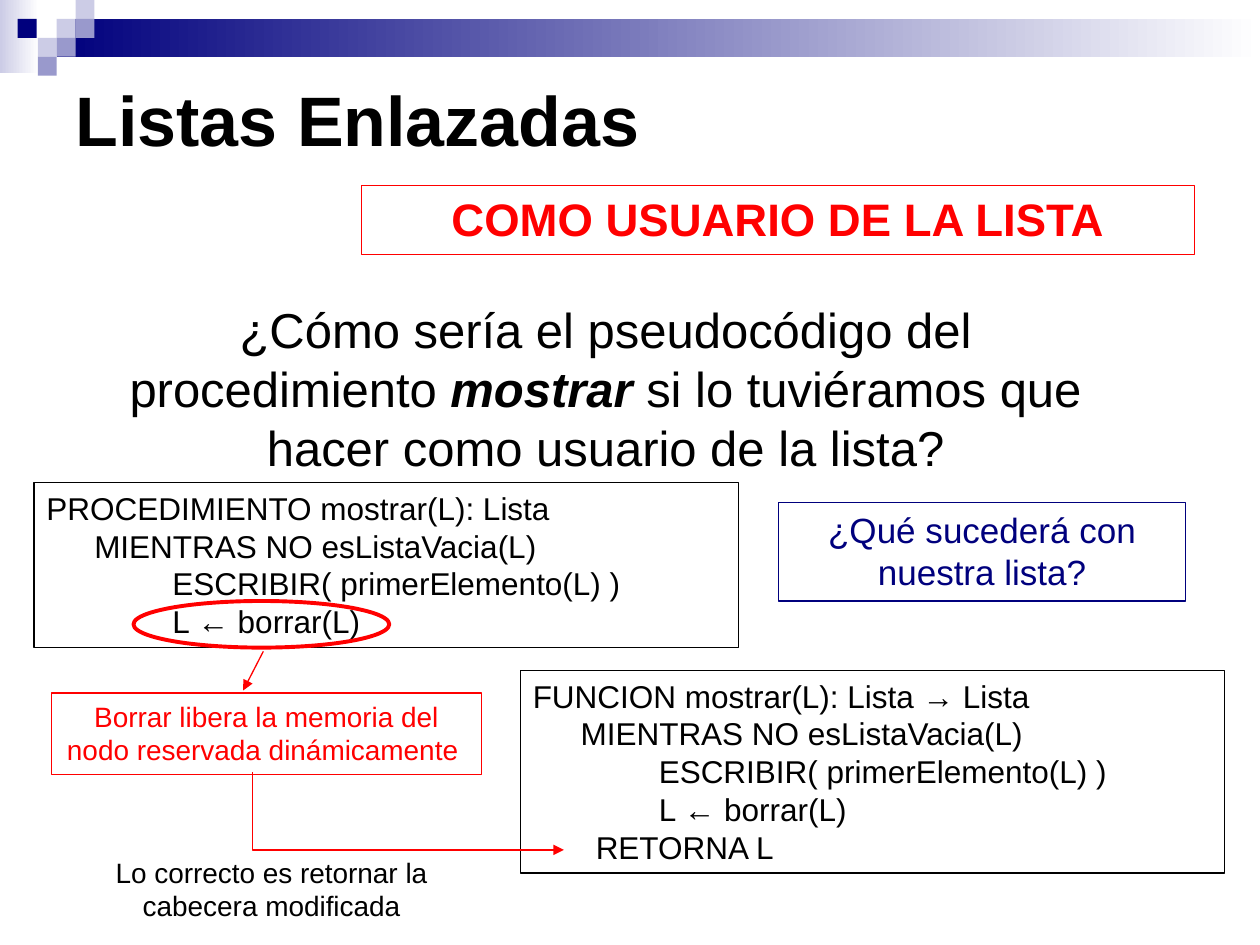
from pptx import Presentation
from pptx.dml.color import RGBColor
from pptx.enum.shapes import MSO_CONNECTOR as Link, MSO_SHAPE as Shape
from pptx.enum.text import MSO_ANCHOR as Anchor, PP_ALIGN as Align
from pptx.oxml.ns import qn
from pptx.util import Inches, Pt
from lxml.etree import SubElement

BLACK, RED, NAVY = "000000", "FF0000", "00007D"
LILAC, VIOLET, WHITE = "CCCCE6", "9999CC", "FFFFFF"
INDENT = 0.38


def colour(value):
    return RGBColor.from_string(value)


def style_font(font, size, hue, **extra):
    values = {"name": "Arial", "size": Pt(size), **extra}
    for name, value in values.items():
        setattr(font, name, value)
    font.color.rgb = colour(hue)


def add_outline(page, kind, place, hue, weight=0.75):
    box = page.shapes.add_shape(kind, *map(Inches, place))
    box.shadow.inherit = False
    box.fill.background()
    box.line.color.rgb = colour(hue)
    box.line.width = Pt(weight)
    return box


def add_band(page, place, start, end):
    band = page.shapes.add_shape(Shape.RECTANGLE, *map(Inches, place))
    band.shadow.inherit = False
    band.line.fill.background()
    band.fill.gradient()
    band.fill.gradient_angle = 0
    for stop, hue in zip(band.fill.gradient_stops, (start, end)):
        stop.color.rgb = colour(hue)


def add_square(page, left, top, hue):
    square = page.shapes.add_shape(Shape.RECTANGLE, *map(Inches, (left, top, 0.15, 0.15)))
    square.shadow.inherit = False
    square.line.fill.background()
    square.fill.solid()
    square.fill.fore_color.rgb = colour(hue)


def prepare_frame(box):
    frame = box.text_frame
    frame.word_wrap = True
    frame.vertical_anchor = Anchor.TOP
    return frame


def add_message(page, place, spans, size, hue, framed=True, bold=False):
    if framed:
        box = add_outline(page, Shape.RECTANGLE, place, hue)
    else:
        box = page.shapes.add_textbox(*map(Inches, place))
    para = prepare_frame(box).paragraphs[0]
    para.alignment = Align.CENTER
    for text, strong in spans:
        span = para.add_run()
        span.text = text
        style_font(span.font, size, hue, bold=bold or strong, italic=strong)


def add_pseudocode(page, place, lines):
    box = add_outline(page, Shape.RECTANGLE, place, BLACK)
    frame = prepare_frame(box)
    for number, (level, text) in enumerate(lines):
        para = frame.add_paragraph() if number else frame.paragraphs[0]
        para.alignment = Align.LEFT
        para.level = level
        properties = para._p.get_or_add_pPr()
        properties.set("marL", str(Inches(INDENT + level * 0.5)))
        properties.set("indent", str(Inches(-INDENT)))
        span = para.add_run()
        span.text = text
        style_font(span.font, 18, BLACK)


def add_arrow(page, kind, start, end):
    arrow = page.shapes.add_connector(kind, *map(Inches, start + end))
    arrow.line.color.rgb = colour(RED)
    arrow.line.width = Pt(0.75)
    SubElement(arrow.line._get_or_add_ln(), qn("a:tailEnd"), type="triangle")
    SubElement(arrow._element.spPr, qn("a:effectLst"))
    return arrow


def turn_corner(arrow):
    properties = arrow._element.spPr
    properties.find(qn("a:xfrm")).set("rot", str(270 * 60000))
    properties.find(qn("a:prstGeom")).set("prst", "bentConnector2")


def set_title(page, text):
    title = page.shapes.title
    place = {"left": 0.5, "top": 0.5, "width": 9, "height": 1.5}
    for name, value in place.items():
        setattr(title, name, Inches(value))
    frame = title.text_frame
    frame.text = text
    frame.vertical_anchor = Anchor.MIDDLE
    frame.margin_bottom = Inches(0.67)
    para = frame.paragraphs[0]
    para.alignment = Align.LEFT
    style_font(para.runs[0].font, 40, BLACK, bold=True)


def add_header(page):
    add_band(page, (0, 0, 0.31, 0.58), LILAC, WHITE)
    add_band(page, (0.45, 0.15, 9.55, 0.3), NAVY, WHITE)
    squares = [
        (0.45, 0.15, LILAC), (0.6, 0, LILAC), (0.6, 0.15, VIOLET),
        (0.3, 0.3, LILAC), (0.14, 0.15, NAVY), (0.45, 0.3, VIOLET),
        (0.3, 0.45, VIOLET),
    ]
    for square in squares:
        add_square(page, *square)


def main():
    deck = Presentation()
    deck.slide_width, deck.slide_height = Inches(10), Inches(7.5)
    page = deck.slides.add_slide(deck.slide_layouts[5])
    add_header(page)
    set_title(page, "Listas Enlazadas")

    add_message(page, (2.87, 1.47, 6.61, 0.55),
                [("COMO USUARIO DE LA LISTA", False)], 26, RED, bold=True)
    question = [
        ("¿Cómo sería el pseudocódigo del procedimiento ", False),
        ("mostrar", True),
        (" si lo tuviéramos que hacer como usuario de la lista?", False),
    ]
    add_message(page, (0.75, 2.33, 8.11, 1.5), question, 28, BLACK, framed=False)

    loop = [
        (0, "\tMIENTRAS NO esListaVacia(L)"),
        (2, "ESCRIBIR( primerElemento(L) )"),
        (2, "L ← borrar(L)"),
    ]
    add_pseudocode(page, (0.27, 3.83, 5.59, 1.31),
                   [(0, "PROCEDIMIENTO mostrar(L): Lista"), *loop])
    add_message(page, (6.18, 3.99, 3.23, 0.78),
                [("¿Qué sucederá con nuestra lista?", False)], 20, NAVY)
    add_pseudocode(page, (4.13, 5.32, 5.59, 1.61),
                   [(0, "FUNCION mostrar(L): Lista → Lista"), *loop, (1, "RETORNA L")])

    add_outline(page, Shape.OVAL, (1.06, 4.77, 2.03, 0.37), RED, 2.25)
    add_message(page, (0.41, 5.5, 3.41, 0.65),
                [("Borrar libera la memoria del nodo reservada dinámicamente ", False)], 16, RED)
    add_arrow(page, Link.STRAIGHT, (2.09, 5.17), (1.93, 5.48))
    turn_corner(add_arrow(page, Link.ELBOW, (3.55, 5.2), (2.93, 7.67)))
    add_message(page, (0.65, 6.74, 3.01, 0.64),
                [("Lo correcto es retornar la cabecera modificada", False)], 16, BLACK, framed=False)

    deck.save("out.pptx")


if __name__ == "__main__":
    main()
